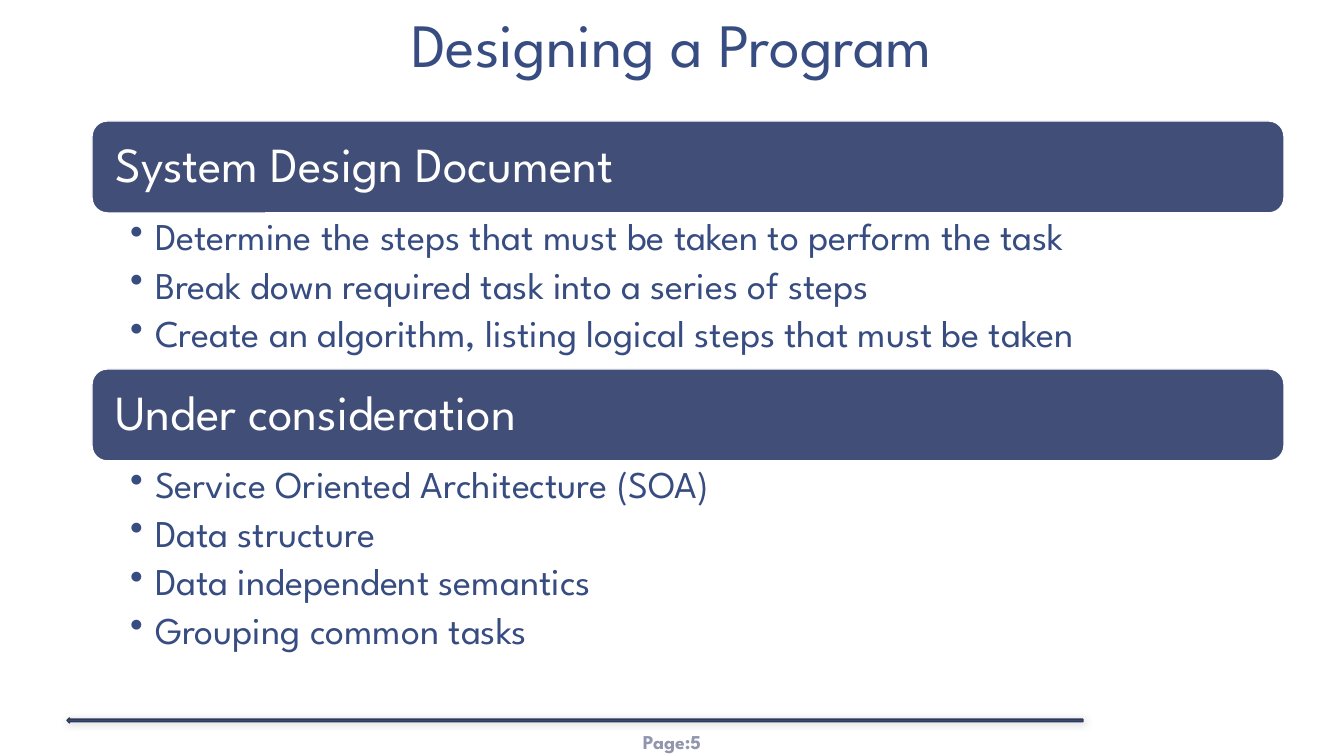
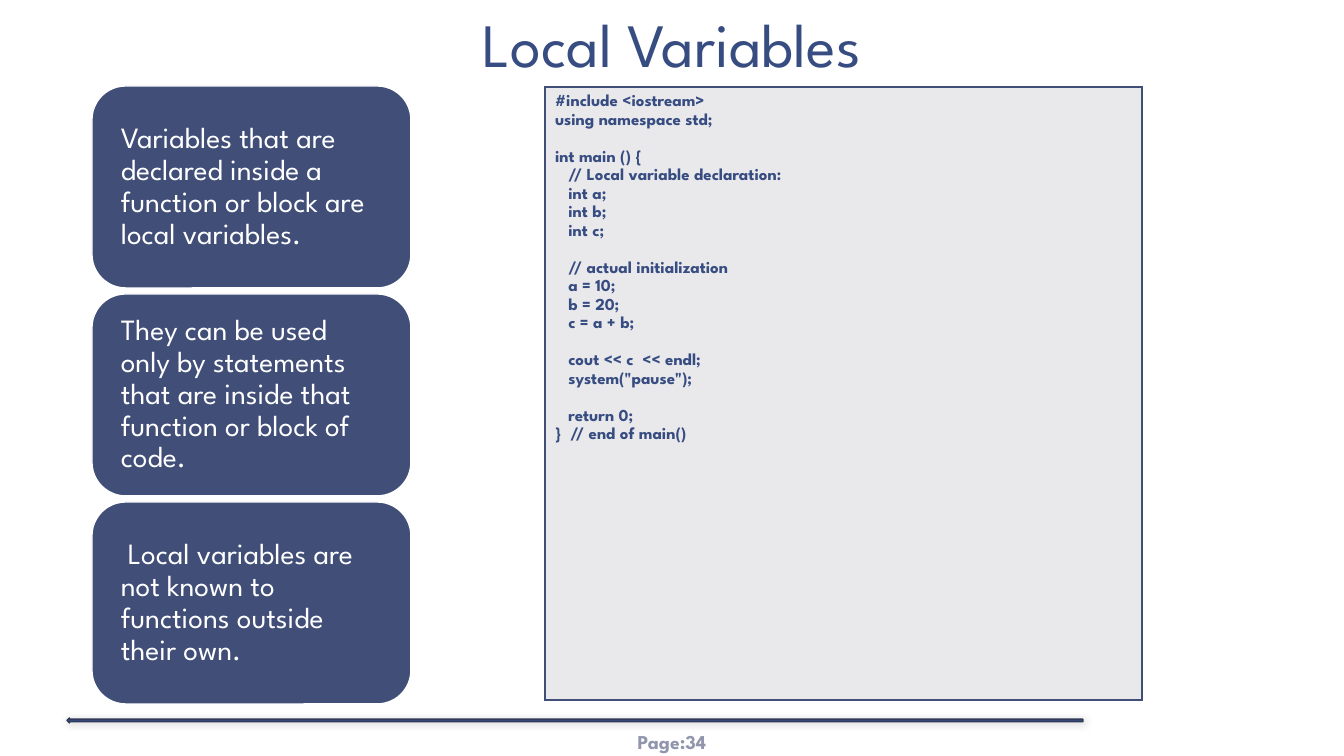
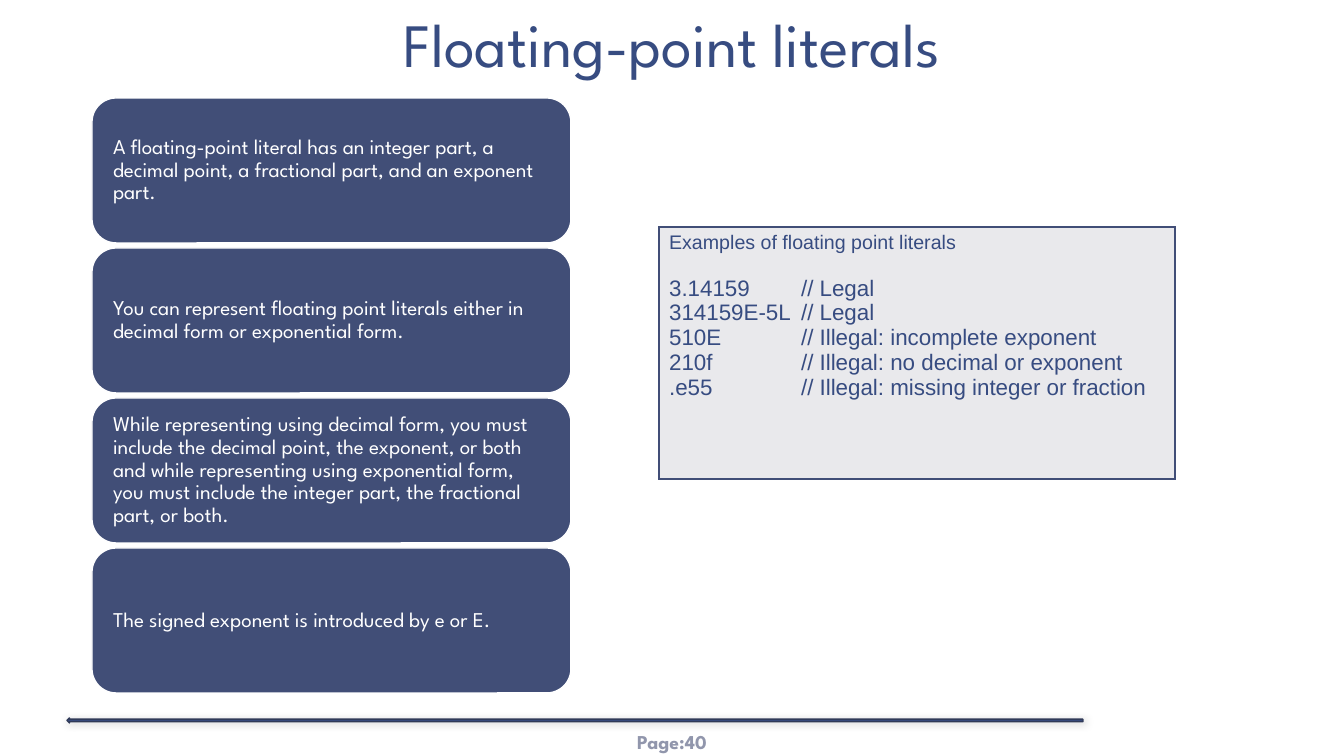
"""Build three lecture slides on program design, local variables and literals."""
import pptx
import pptx.dml.color
import pptx.enum.shapes
import pptx.enum.text
import pptx.oxml
import pptx.oxml.ns
import pptx.util

SCALE = 914400 / 100.8
COLORS = {
    "ink": "374C81",
    "card": "414E77",
    "edge": "303A58",
    "page": "9196AC",
    "panel": "E9E9EC",
    "white": "FFFFFF",
    "shadow": "000000",
}
NS = pptx.oxml.ns.nsdecls("a")
SHAPE = pptx.enum.shapes.MSO_SHAPE
ALIGN = pptx.enum.text.PP_ALIGN
ANCHOR = pptx.enum.text.MSO_ANCHOR


def px(n):
    return pptx.util.Emu(round(n * SCALE))


def rgb(name):
    return pptx.dml.color.RGBColor.from_string(COLORS[name])


def add_xml(parent, xml):
    parent.append(pptx.oxml.parse_xml(xml))


class Deck:
    """Hold the presentation, its style and the current slide."""

    font = "League Spartan"

    def __init__(self):
        self.prs = pptx.Presentation()
        self.prs.slide_width, self.prs.slide_height = px(1344), px(756)

    def slide(self, title, page):
        self.s = self.prs.slides.add_slide(self.prs.slide_layouts[6])
        self.footer(page)
        tf = self.box(0, 0, 1344, 87, (13, 7, 13, 7), ANCHOR.BOTTOM)
        self.para(tf, title, 44, align=ALIGN.CENTER, spacing=0.85)

    def footer(self, page):
        tf = self.box(583, 722, 178, 40, (4, 2, 4, 2), ANCHOR.MIDDLE)
        self.para(tf, f"Page:{page}", 14, "page", bold=True, align=ALIGN.CENTER)
        sp = self.shape(SHAPE.LEFT_ARROW, 67, 718, 1016, 5, "ink", "edge")
        effects = sp._element.spPr.find(pptx.oxml.ns.qn("a:effectLst"))
        add_xml(effects, f'<a:outerShdw {NS} blurRad="76200" dist="12700" dir="2700000">'
                         f'<a:srgbClr val="{COLORS["shadow"]}"><a:alpha val="20000"/>'
                         '</a:srgbClr></a:outerShdw>')

    def frame(self, tf, margins, anchor):
        tf.word_wrap = True
        tf.vertical_anchor = anchor
        tf.margin_left, tf.margin_top, tf.margin_right, tf.margin_bottom = map(px, margins)
        return tf

    def box(self, x, y, w, h, margins, anchor=ANCHOR.TOP):
        sp = self.s.shapes.add_textbox(px(x), px(y), px(w), px(h))
        return self.frame(sp.text_frame, margins, anchor)

    def shape(self, kind, x, y, w, h, fill, line):
        sp = self.s.shapes.add_shape(kind, px(x), px(y), px(w), px(h))
        sp.shadow.inherit = False
        sp.fill.solid()
        sp.fill.fore_color.rgb = rgb(fill)
        sp.line.color.rgb = rgb(line)
        sp.line.width = pptx.util.Pt(1)
        return sp

    def para(self, tf, text, size, color="ink", bold=False, font=None, align=ALIGN.LEFT,
             spacing=None, before=None, after=None, left=0, indent=0, bullet=None, tab=None):
        p = tf.paragraphs[0]
        if p.runs:
            p = tf.add_paragraph()
        pPr = p._p.get_or_add_pPr()
        if left or indent:
            pPr.set("marL", str(px(left)))
            pPr.set("indent", str(px(indent)))
        if bullet:
            add_xml(pPr, f'<a:buChar {NS} char="{bullet}"/>')
        if tab:
            add_xml(pPr, f'<a:tabLst {NS}><a:tab pos="{px(tab)}" algn="l"/></a:tabLst>')
        p.alignment = align
        if spacing:
            p.line_spacing = spacing
        if before:
            p.space_before = pptx.util.Pt(before)
        if after:
            p.space_after = pptx.util.Pt(after)
        r = p.add_run()
        r.text = text
        r.font.name = font or self.font
        r.font.size = pptx.util.Pt(size)
        r.font.bold = bold
        r.font.color.rgb = rgb(color)

    def card(self, x, y, w, h, text, size, inset, indent=0):
        sp = self.shape(SHAPE.ROUNDED_RECTANGLE, x, y, w, h, "card", "white")
        tf = self.frame(sp.text_frame, (inset,) * 4, ANCHOR.MIDDLE)
        self.para(tf, text, size, "white", spacing=0.9, indent=indent)

    def bullets(self, x, y, w, h, items):
        tf = self.box(x, y, w, h, (38, 5, 27, 5))
        for item in items:
            self.para(tf, item, 27, spacing=0.9, after=5.4, left=25, indent=-25, bullet="•")

    def panel(self, x, y, w, h):
        table = self.s.shapes.add_table(1, 1, px(x), px(y), px(w), px(h)).table
        table.first_row = table.horz_banding = False
        cell = table.cell(0, 0)
        tcPr = cell._tc.get_or_add_tcPr()
        for side in "LRTB":
            add_xml(tcPr, f'<a:ln{side} {NS} w="12700"><a:solidFill>'
                          f'<a:srgbClr val="{COLORS["card"]}"/></a:solidFill></a:ln{side}>')
        cell.fill.solid()
        cell.fill.fore_color.rgb = rgb("panel")
        return cell.text_frame


def design_slide(deck):
    deck.slide("Designing a Program", 5)
    sections = [
        ("System Design Document", [
            "Determine the steps that must be taken to perform the task",
            "Break down required task into a series of steps",
            "Create an algorithm, listing logical steps that must be taken"]),
        ("Under consideration", [
            "Service Oriented Architecture (SOA)",
            "Data structure",
            "Data independent semantics",
            "Grouping common tasks"]),
    ]
    y, head = 121, 92
    for heading, items in sections:
        height = 52 * len(items)
        deck.card(92, y, 1192, head, heading, 35, 19)
        deck.bullets(92, y + head, 1192, height, items)
        y += head + height


def variables_slide(deck):
    deck.slide("Local Variables", 34)
    cards = [
        ("Variables that are declared inside a function or block are local variables.", 0),
        ("They can be used only by statements that are inside that function or block of code.", 0),
        ("Local variables are not known to functions outside their own.", 7),
    ]
    for i, (text, indent) in enumerate(cards):
        deck.card(92, 86 + 208 * i, 319, 202, text, 21, 19, indent)
    blocks = [
        ["#include <iostream>", "using namespace std;"],
        ["int main () {", "   // Local variable declaration:", "   int a;", "   int b;", "   int c;"],
        ["   // actual initialization", "   a = 10;", "   b = 20;", "   c = a + b;"],
        ["   cout << c  << endl;", '   system("pause");'],
        ["   return 0;", "}  // end of main()"],
    ]
    tf = deck.panel(545, 87, 597, 613)
    for i, block in enumerate(blocks):
        for j, line in enumerate(block):
            gap = 13.2 if i and not j else None
            deck.para(tf, line, 12, bold=True, spacing=1.2, before=gap)


def literals_slide(deck):
    deck.slide("Floating-point literals", 40)
    cards = [
        "A floating-point literal has an integer part, a decimal point, a fractional part, "
        "and an exponent part.",
        "You can represent floating point literals either in decimal form or exponential form.",
        "While representing using decimal form, you must include the decimal point, the exponent, "
        "or both and while representing using exponential form, you must include the integer part, "
        "the fractional part, or both.",
        "The signed exponent is introduced by e or E.",
    ]
    for i, text in enumerate(cards):
        deck.card(92, 98 + 150 * i, 479, 145, text, 15, 14)
    examples = [
        ("3.14159", "// Legal"),
        ("314159E-5L", "// Legal"),
        ("510E", "// Illegal: incomplete exponent"),
        ("210f", "// Illegal: no decimal or exponent"),
        (".e55", "// Illegal: missing integer or fraction"),
    ]
    tf = deck.panel(659, 227, 516, 252)
    deck.para(tf, "Examples of floating point literals", 14, font="Arial")
    for i, example in enumerate(examples):
        deck.para(tf, "\t".join(example), 16, font="Arial", before=None if i else 15.6, tab=132)


def main():
    deck = Deck()
    design_slide(deck)
    variables_slide(deck)
    literals_slide(deck)
    deck.prs.save("out.pptx")


if __name__ == "__main__":
    main()
